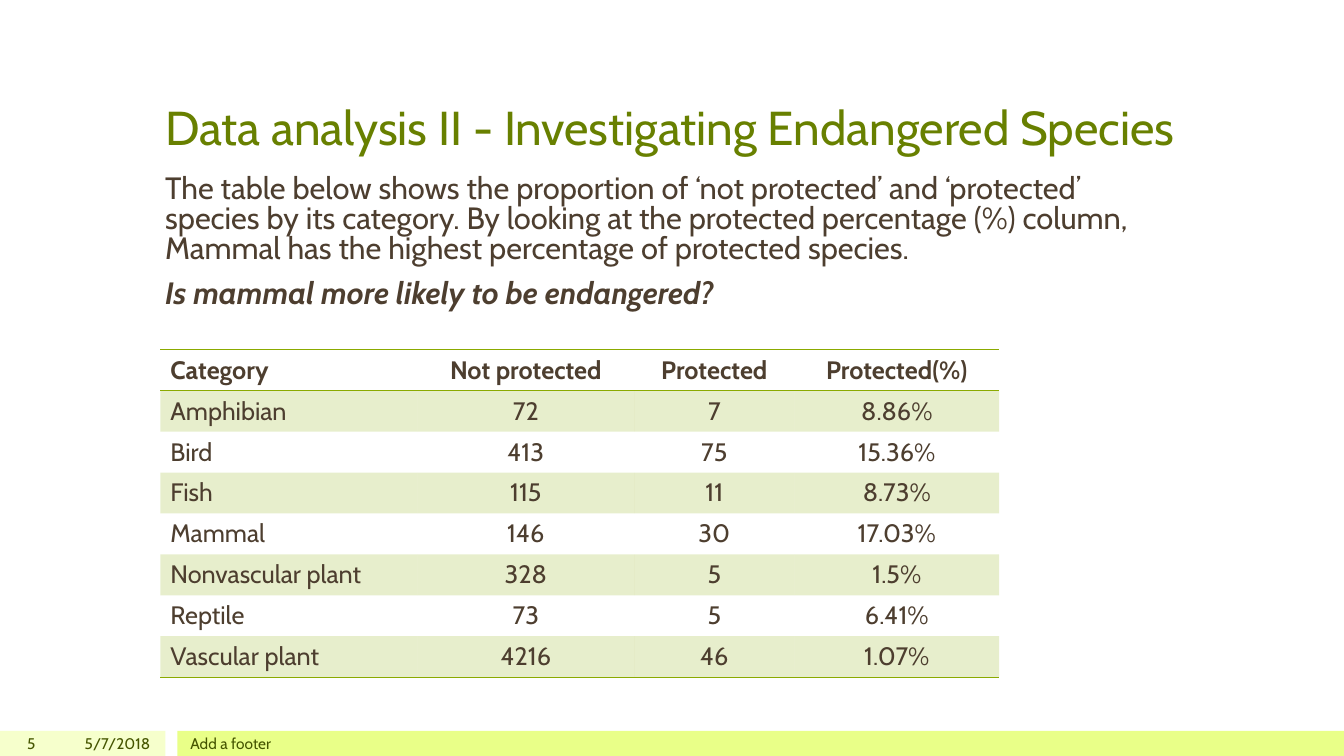
from dataclasses import dataclass

from lxml.etree import SubElement
from pptx import Presentation
from pptx.dml.color import RGBColor
from pptx.enum.shapes import MSO_SHAPE
from pptx.enum.text import MSO_ANCHOR, PP_ALIGN
from pptx.oxml.ns import qn
from pptx.slide import Slide
from pptx.table import _Cell
from pptx.text.text import _Paragraph
from pptx.util import Inches, Pt

FONT = "Cabin"
COLORS = {
    "title": "688000",
    "body": "4D3E2F",
    "footer": "455500",
    "accent": "8BAA00",
    "pale_bar": "F6FFCC",
    "bright_bar": "E9FF88",
}
COLUMN_WIDTHS = (2.55, 2.15, 1.59, 2.03)
TABLE_HEIGHT = 3.25
SPECIES_ROWS = (
    ("Category", "Not protected", "Protected", "Protected(%)"),
    ("Amphibian", "72", "7", "8.86%"),
    ("Bird", "413", "75", "15.36%"),
    ("Fish", "115", "11", "8.73%"),
    ("Mammal", "146", "30", "17.03%"),
    ("Nonvascular plant", "328", "5", "1.5%"),
    ("Reptile", "73", "5", "6.41%"),
    ("Vascular plant", "4216", "46", "1.07%"),
)


@dataclass(frozen=True)
class Bar:
    left: float
    width: float
    color: str


@dataclass(frozen=True)
class TextBlock:
    left: float
    top: float
    width: float
    height: float
    lines: tuple[str, ...]
    size: int
    color: str
    anchor: MSO_ANCHOR = MSO_ANCHOR.MIDDLE
    align: PP_ALIGN = PP_ALIGN.LEFT


BARS = (Bar(0, 1.64, "pale_bar"), Bar(1.76, 11.57, "bright_bar"))
TITLE = TextBlock(1.54, 0.3, 10.25, 1.29,
                  ("Data analysis II - Investigating Endangered Species",),
                  34, "title", MSO_ANCHOR.BOTTOM)
BODY = TextBlock(
    1.54, 1.7, 10, 1.55,
    ("The table below shows the proportion of ‘not protected’ and ‘protected’ "
     "species by its category. By looking at the protected percentage (%) column, "
     "Mammal has the highest percentage of protected species.",
     "Is mammal more likely to be endangered?"),
    22, "body", MSO_ANCHOR.TOP)
FOOTERS = (
    TextBlock(0, 7.25, 0.45, 0.25, ("5",), 11, "footer", align=PP_ALIGN.RIGHT),
    TextBlock(0.5, 7.25, 1.09, 0.25, ("5/7/2018",), 11, "footer", align=PP_ALIGN.RIGHT),
    TextBlock(1.79, 7.25, 10, 0.25, ("Add a footer",), 11, "footer"),
)


def rgb(name: str) -> RGBColor:
    return RGBColor.from_string(COLORS[name])


def style_para(para: _Paragraph, size: int, color: str, align: PP_ALIGN) -> None:
    para.alignment = align
    for span in para.runs:
        span.font.name = FONT
        span.font.size = Pt(size)
        span.font.color.rgb = rgb(color)


def add_bar(page: Slide, bar: Bar) -> None:
    shape = page.shapes.add_shape(MSO_SHAPE.RECTANGLE, Inches(bar.left), Inches(7.25),
                                  Inches(bar.width), Inches(0.25))
    shape.shadow.inherit = False
    shape.fill.solid()
    shape.fill.fore_color.rgb = rgb(bar.color)
    shape.line.fill.background()


def add_text(page: Slide, block: TextBlock) -> list[_Paragraph]:
    box = page.shapes.add_textbox(Inches(block.left), Inches(block.top),
                                  Inches(block.width), Inches(block.height))
    frame = box.text_frame
    frame.word_wrap = True
    frame.vertical_anchor = block.anchor
    frame.text = "\n".join(block.lines)
    for para in frame.paragraphs:
        style_para(para, block.size, block.color, block.align)
    return list(frame.paragraphs)


def set_borders(cell: _Cell, top: bool, bottom: bool) -> None:
    properties = cell._tc.get_or_add_tcPr()
    for side, visible in (("L", False), ("R", False), ("T", top), ("B", bottom)):
        line = SubElement(properties, qn(f"a:ln{side}"), w=str(Pt(1)))
        if visible:
            fill = SubElement(line, qn("a:solidFill"))
            SubElement(fill, qn("a:srgbClr"), val=COLORS["accent"])
        else:
            SubElement(line, qn("a:noFill"))


def fill_cell(cell: _Cell, banded: bool) -> None:
    if not banded:
        cell.fill.background()
        return
    cell.fill.solid()
    cell.fill.fore_color.rgb = rgb("accent")
    color = cell._tc.tcPr.find(qn("a:solidFill")).find(qn("a:srgbClr"))
    SubElement(color, qn("a:alpha"), val="20000")


def add_species_table(page: Slide) -> None:
    count = len(SPECIES_ROWS)
    frame = page.shapes.add_table(count, len(COLUMN_WIDTHS), Inches(1.59), Inches(3.47),
                                  Inches(sum(COLUMN_WIDTHS)), Inches(TABLE_HEIGHT))
    table = frame.table
    table.horz_banding = False
    for column, width in zip(table.columns, COLUMN_WIDTHS):
        column.width = Inches(width)
    for row_index, values in enumerate(SPECIES_ROWS):
        table.rows[row_index].height = Inches(TABLE_HEIGHT / count)
        for column_index, value in enumerate(values):
            cell = table.cell(row_index, column_index)
            cell.vertical_anchor = MSO_ANCHOR.MIDDLE
            para = cell.text_frame.paragraphs[0]
            para.text = value
            style_para(para, 18, "body", PP_ALIGN.CENTER if column_index else PP_ALIGN.LEFT)
            para.runs[0].font.bold = row_index == 0
            set_borders(cell, top=row_index < 2, bottom=row_index in (0, count - 1))
            fill_cell(cell, banded=row_index % 2 == 1)


def main() -> None:
    deck = Presentation()
    deck.slide_width, deck.slide_height = Inches(13.33), Inches(7.5)
    page = deck.slides.add_slide(deck.slide_layouts[6])

    # Footer bars
    for bar in BARS:
        add_bar(page, bar)

    # Title and introduction
    add_text(page, TITLE)
    body_paras = add_text(page, BODY)
    for para in body_paras:
        para.line_spacing = 0.8
        para.space_before = Pt(11)
    question = body_paras[-1].runs[0]
    question.font.bold = True
    question.font.italic = True

    # Footer text
    for footer in FOOTERS:
        add_text(page, footer)

    # Protection by category
    add_species_table(page)

    deck.save("out.pptx")


if __name__ == "__main__":
    main()
